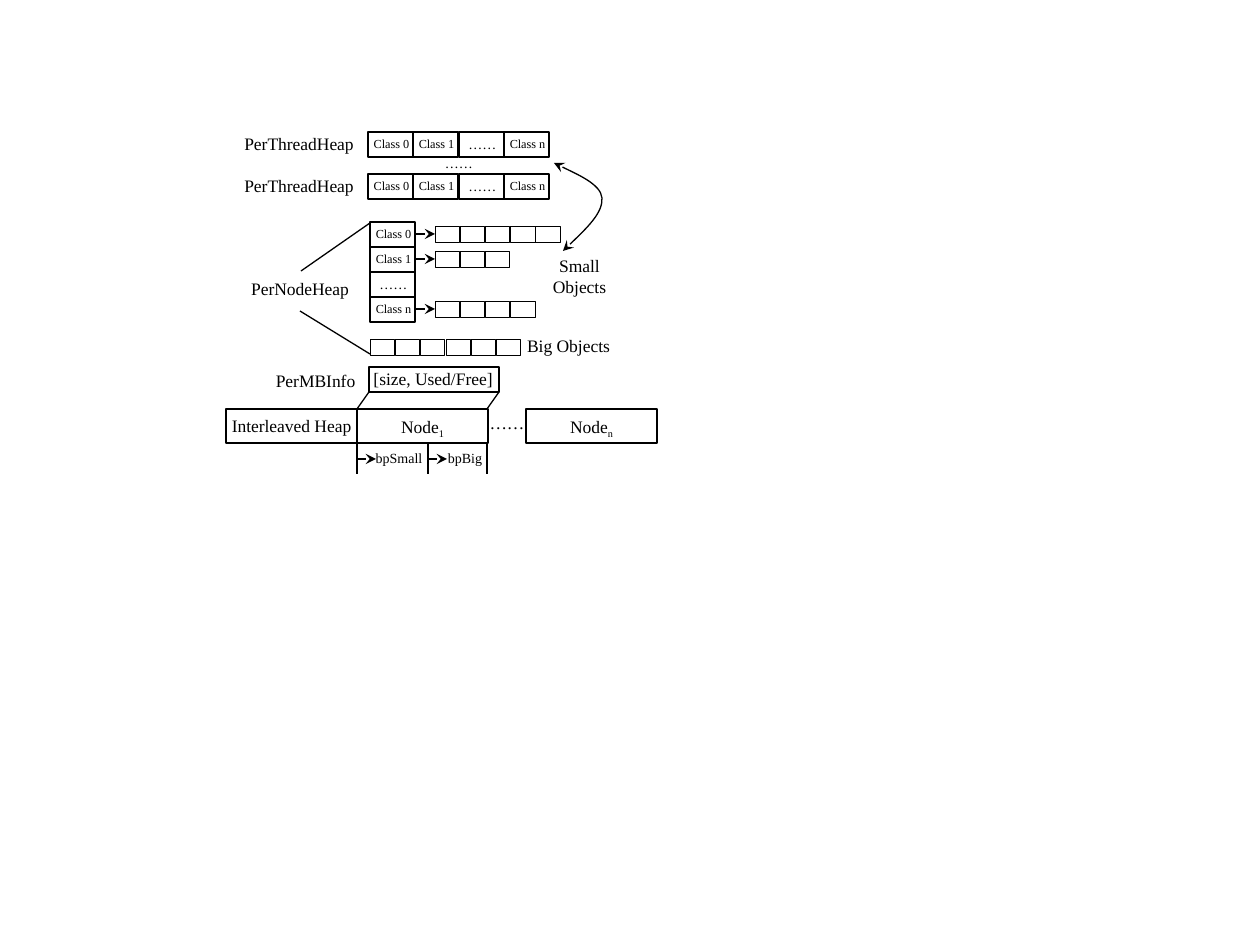
from lxml.etree import SubElement
from pptx import Presentation
from pptx.dml.color import RGBColor
from pptx.enum.shapes import MSO_CONNECTOR as Link, MSO_SHAPE as Preset
from pptx.enum.text import MSO_ANCHOR as Anchor, PP_ALIGN as Align
from pptx.oxml.ns import qn
from pptx.util import Pt

PX = 7257.14
COLORS = {"ink": "000000"}
INK = RGBColor.from_string(COLORS["ink"])
FRAME = {"margin_left": 0, "margin_right": 0, "margin_top": 0,
         "margin_bottom": 0, "word_wrap": True,
         "vertical_anchor": Anchor.MIDDLE}
CLASSES = ["Class 0", "Class 1", "……", "Class n"]


def emu(*pixels):
    """Turn pixel lengths into EMU."""
    return [round(value * PX) for value in pixels]


def apply(target, values):
    """Set every attribute named in a dict."""
    for name, value in values.items():
        setattr(target, name, value)


def ink_line(part, weight=0.75):
    """Draw the outline of a part in ink."""
    part.line.color.rgb = INK
    part.line.width = Pt(weight)


def add_heads(part, *ends):
    """Put stealth arrowheads on the named ends."""
    outline = part.line._get_or_add_ln()
    for end in ends:
        SubElement(outline, qn(f"a:{end}"), type="stealth")


def outline_box(slide, x, y, w, h, weight=0.75):
    """Draw an unfilled rectangle."""
    box = slide.shapes.add_shape(Preset.RECTANGLE, *emu(x, y, w, h))
    box.shadow.inherit = False
    box.fill.background()
    ink_line(box, weight)


def label(slide, x, y, w, h, text, size=10, subscript=""):
    """Write centred text, with an optional subscript."""
    frame = slide.shapes.add_textbox(*emu(x, y, w, h)).text_frame
    apply(frame, FRAME)
    frame.text = text
    paragraph = frame.paragraphs[0]
    paragraph.alignment = Align.CENTER
    if subscript:
        lowered = paragraph.add_run()
        lowered.text = subscript
        lowered._r.get_or_add_rPr().set("baseline", "-25000")
    for run in paragraph.runs:
        apply(run.font, {"name": "Times New Roman", "size": Pt(size)})
        run.font.color.rgb = INK


def straight(slide, x1, y1, x2, y2, arrow=False):
    """Draw a straight line or arrow."""
    link = slide.shapes.add_connector(Link.STRAIGHT, *emu(x1, y1, x2, y2))
    ink_line(link)
    if arrow:
        add_heads(link, "tailEnd")
    SubElement(link._element.spPr, qn("a:effectLst"))


def class_cell(slide, x, y, w, h, name):
    """Draw one size class with its name."""
    outline_box(slide, x, y, w, h)
    label(slide, x, y - 3, w + 2, h + 4, name, 8 if name == "……" else 7)


def object_row(slide, x, y, count):
    """Draw a row of adjoining objects."""
    for i in range(count):
        outline_box(slide, x + round(25.2 * i), y, 25, 16, 0.5)


def thread_heap(slide, x, y):
    """Draw a thread heap: its name and a row of classes."""
    label(slide, x, y - 6, 132, 34, "PerThreadHeap")
    for i, name in enumerate(CLASSES):
        class_cell(slide, x + 135 + round(45.33 * i), y, 45, 25, name)


def node_heap(slide, x, y):
    """Draw the node heap: classes, small objects and big objects."""
    label(slide, x, y + 49, 112, 34, "PerNodeHeap")
    straight(slide, x + 126, y + 1, x + 57, y + 49)
    straight(slide, x + 126, y + 132, x + 56, y + 89)
    for i, (name, count) in enumerate(zip(CLASSES, (5, 3, 0, 4))):
        top = y + 25 * i
        class_cell(slide, x + 126, top, 45, 25, name)
        if count:
            straight(slide, x + 172, top + 12, x + 191, top + 12, True)
            object_row(slide, x + 191, top + 4, count)
    label(slide, x + 307, y + 26, 57, 56, "Small\vObjects")
    object_row(slide, x + 126, y + 117, 6)
    label(slide, x + 278, y + 107, 93, 34, "Big Objects")


def exchange_arrow(slide, x, y):
    """Draw the curved two-headed arrow between heaps."""
    builder = slide.shapes.build_freeform(x + 9, y + 88, PX)
    builder.add_line_segments([(x + 48, y + 35), (x, y)], close=False)
    curve = builder.convert_to_shape()
    curve.shadow.inherit = False
    curve.fill.background()
    ink_line(curve)
    add_heads(curve, "headEnd", "tailEnd")
    bends = [[(29, 69), (49, 50), (48, 35)], [(47, 21), (0, 0), (0, 0)]]
    segments = list(curve._element.iter(qn("a:lnTo")))
    for segment, points in zip(segments, bends):
        bend = SubElement(segment.getparent(), qn("a:cubicBezTo"))
        for px, py in points:
            SubElement(bend, qn("a:pt"), x=str(px), y=str(py))
        segment.getparent().remove(segment)


def interleaved_heap(slide, x, y):
    """Draw the interleaved heap with its block info and pointers."""
    label(slide, x + 37, y - 46, 105, 34, "PerMBInfo")
    outline_box(slide, x + 143, y - 42, 130, 25)
    label(slide, x + 134, y - 47, 146, 34, "[size, Used/Free]")
    for foot, top in ((131, 143), (261, 273)):
        straight(slide, x + top, y - 17, x + foot, y)
    nodes = [(0, -1, "Interleaved Heap", ""), (131, 2, "Node", "1"),
             (300, 2, "Node", "n")]
    for left, drop, name, index in nodes:
        outline_box(slide, x + left, y, 131, 34)
        label(slide, x + left, y + drop, 131, 34, name, subscript=index)
    label(slide, x + 216, y - 3, 130, 34, "……")
    for left in (131, 202, 261):
        straight(slide, x + left, y + 34, x + left, y + 65)
    for left, text_left, pointer in ((131, 139, "bpSmall"),
                                     (202, 205, "bpBig")):
        straight(slide, x + left, y + 50, x + left + 19, y + 50, True)
        label(slide, x + text_left, y + 34, 68, 30, pointer, 8)


def main():
    """Build the heap layout slide."""
    deck = Presentation()
    deck.slide_width, deck.slide_height = emu(1260, 945)
    slide = deck.slides.add_slide(deck.slide_layouts[6])
    for top in (132, 174):
        thread_heap(slide, 233, top)
    label(slide, 435, 148, 48, 30, "……", 8)
    node_heap(slide, 244, 222)
    exchange_arrow(slide, 554, 163)
    interleaved_heap(slide, 226, 409)
    deck.save("out.pptx")


main()
